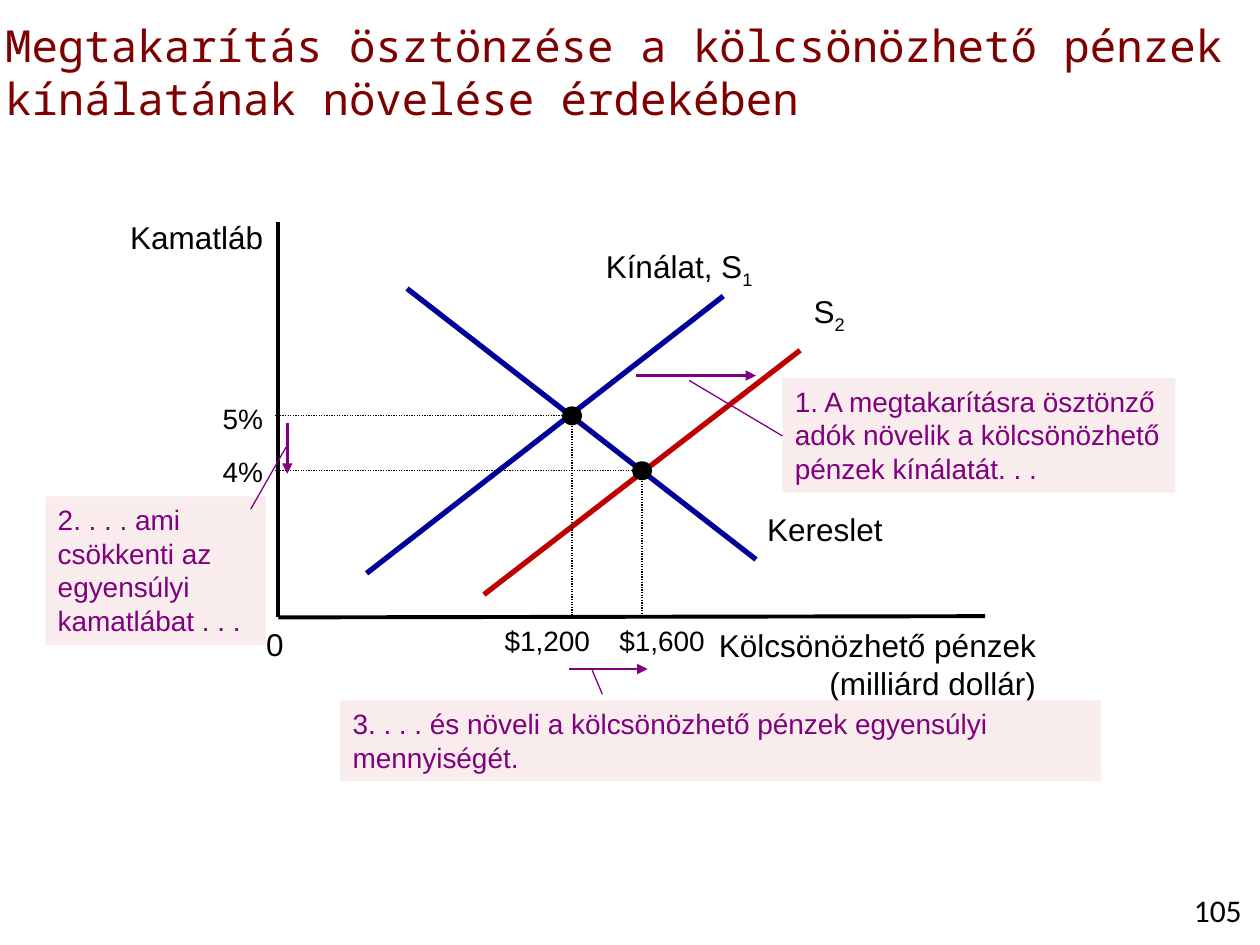
from lxml import etree
from pptx import Presentation
from pptx.dml.color import RGBColor
from pptx.enum import dml, shapes, text
from pptx.oxml.ns import qn
from pptx.util import Pt

COLORS = {"title": "7E0000", "black": "000000", "blue": "000099", "red": "C00000",
          "purple": "800080", "callout": "F8EDEC"}
LEFT, CENTER, RIGHT = text.PP_ALIGN.LEFT, text.PP_ALIGN.CENTER, text.PP_ALIGN.RIGHT


def write(shape, lines, size, color, font="Arial", align=LEFT):
    """Fill a shape with paragraphs; text after "_" in a line is a subscript."""
    frame = shape.text_frame
    frame.text = "\n".join(lines)
    for paragraph, line in zip(frame.paragraphs, lines):
        paragraph.alignment = align
        base, _, subscript = line.partition("_")
        paragraph.text = base
        if subscript:
            run = paragraph.add_run()
            run.text = subscript
            run.font._element.set("baseline", "-25000")
        for run in paragraph.runs:
            run.font.size = Pt(size)
            run.font.name = font
            run.font.color.rgb = RGBColor.from_string(COLORS[color])


def draw_line(start, end, color, width, dotted=False, arrow=False):
    line = slide.shapes.add_connector(
        shapes.MSO_CONNECTOR.STRAIGHT, *(Pt(value) for value in start + end))
    line.line.color.rgb = RGBColor.from_string(COLORS[color])
    line.line.width = Pt(width)
    if dotted:
        line.line.dash_style = dml.MSO_LINE.ROUND_DOT
    if arrow:
        etree.SubElement(line.line._get_or_add_ln(), qn("a:tailEnd"), type="triangle")
    etree.SubElement(line._element.spPr, qn("a:effectLst"))


presentation = Presentation()
presentation.slide_width, presentation.slide_height = Pt(720), Pt(540)
slide = presentation.slides.add_slide(presentation.slide_layouts[5])

title = slide.shapes.title
title.left, title.top, title.width, title.height = Pt(-4.3), Pt(7.2), Pt(720), Pt(67)
title.text_frame.auto_size = text.MSO_AUTO_SIZE.NONE
title.text_frame.vertical_anchor = text.MSO_ANCHOR.MIDDLE
write(title, ["Megtakarítás ösztönzése a kölcsönözhető pénzek kínálatának növelése érdekében"],
      25.2, "title", "Noto Sans Mono")

# Axes and curves
origin = (159.1, 352.8)
draw_line((159.1, 126.7), origin, "black", 2.25)
draw_line(origin, (563, 352.1), "black", 2.25)
draw_line((209.5, 327.6), (413.3, 169.2), "blue", 3)
draw_line((232.6, 164.9), (432, 319.7), "blue", 3)
draw_line((276.5, 339.8), (457.2, 200.2), "red", 3)

# Equilibrium points with their dotted guides
for x, y in [(326.9, 237.6), (366.9, 269)]:
    draw_line((157, y), (x, y), "black", 0.75, dotted=True)
    draw_line((x, y), (x, 352), "black", 0.75, dotted=True)
    dot = slide.shapes.add_shape(
        shapes.MSO_SHAPE.OVAL, Pt(x - 5.8), Pt(y - 5.4), Pt(11.6), Pt(10.8))
    dot.shadow.inherit = False
    dot.fill.solid()
    dot.fill.fore_color.rgb = RGBColor.from_string(COLORS["black"])
    dot.line.fill.background()

# Labels: lines, left, top, width, height, size, alignment, font
labels = [
    (["Kamatláb"], 66.2, 121, 91.4, 29, 18, RIGHT, "Arial"),
    (["Kölcsönözhető pénzek", "(milliárd dollár)"], 401.8, 354.2, 197.3, 51, 18, RIGHT, "Arial"),
    (["0"], 144.7, 353.5, 24.5, 29, 18, RIGHT, "Arial"),
    (["Kínálat, S_1"], 339.1, 137.5, 100, 29, 18, LEFT, "Arial"),
    (["S_2"], 457.9, 163.4, 33, 29, 18, LEFT, "Arial"),
    (["Kereslet"], 431.3, 288, 81.4, 29, 18, LEFT, "Arial"),
    (["5%"], 120.2, 226.1, 38.2, 26.6, 16, LEFT, "Arial"),
    (["4%"], 120.2, 256.3, 38.2, 26.6, 16, LEFT, "Arial"),
    (["$1,200"], 280.8, 353, 64, 26.6, 16, CENTER, "Arial"),
    (["$1,600"], 346.3, 352.6, 64, 26.6, 16, CENTER, "Arial"),
    (["105"], 671.8, 505.4, 48.2, 28.8, 18, CENTER, "Calibri"),
]
for lines, left, top, width, height, size, align, font in labels:
    label = slide.shapes.add_textbox(Pt(left), Pt(top), Pt(width), Pt(height))
    label.text_frame.word_wrap = False
    write(label, lines, size, "black", font, align)

# Callouts: words, box, arrow ends, leader ends
callouts = [
    ("1. A megtakarításra ösztönző adók növelik a kölcsönözhető pénzek kínálatát. . .",
     (447.1, 216, 224.6, 65.5), ((363.6, 214.6), (432, 214.6)), ((393.8, 217.4), (447.1, 249.1))),
    ("2. . . . ami csökkenti az egyensúlyi kamatlábat . . .",
     (25.9, 283.7, 126, 85), ((164.2, 241.9), (164.2, 270.7)), ((163.4, 255.6), (143.3, 290.9))),
    ("3. . . . és növeli a kölcsönözhető pénzek egyensúlyi mennyiségét.",
     (194.4, 400.3, 434.9, 46.1), ((325.4, 382.3), (370.1, 382.3)), ((338.4, 383), (344.2, 396.7))),
]
for words, box, arrow, leader in callouts:
    draw_line(*arrow, "purple", 1.5, arrow=True)
    callout = slide.shapes.add_shape(shapes.MSO_SHAPE.RECTANGLE, *(Pt(value) for value in box))
    callout.shadow.inherit = False
    callout.fill.solid()
    callout.fill.fore_color.rgb = RGBColor.from_string(COLORS["callout"])
    callout.line.fill.background()
    callout.text_frame.word_wrap = True
    callout.text_frame.vertical_anchor = text.MSO_ANCHOR.TOP
    write(callout, [words], 16, "purple")
    draw_line(*leader, "purple", 0.75)

presentation.save("out.pptx")
